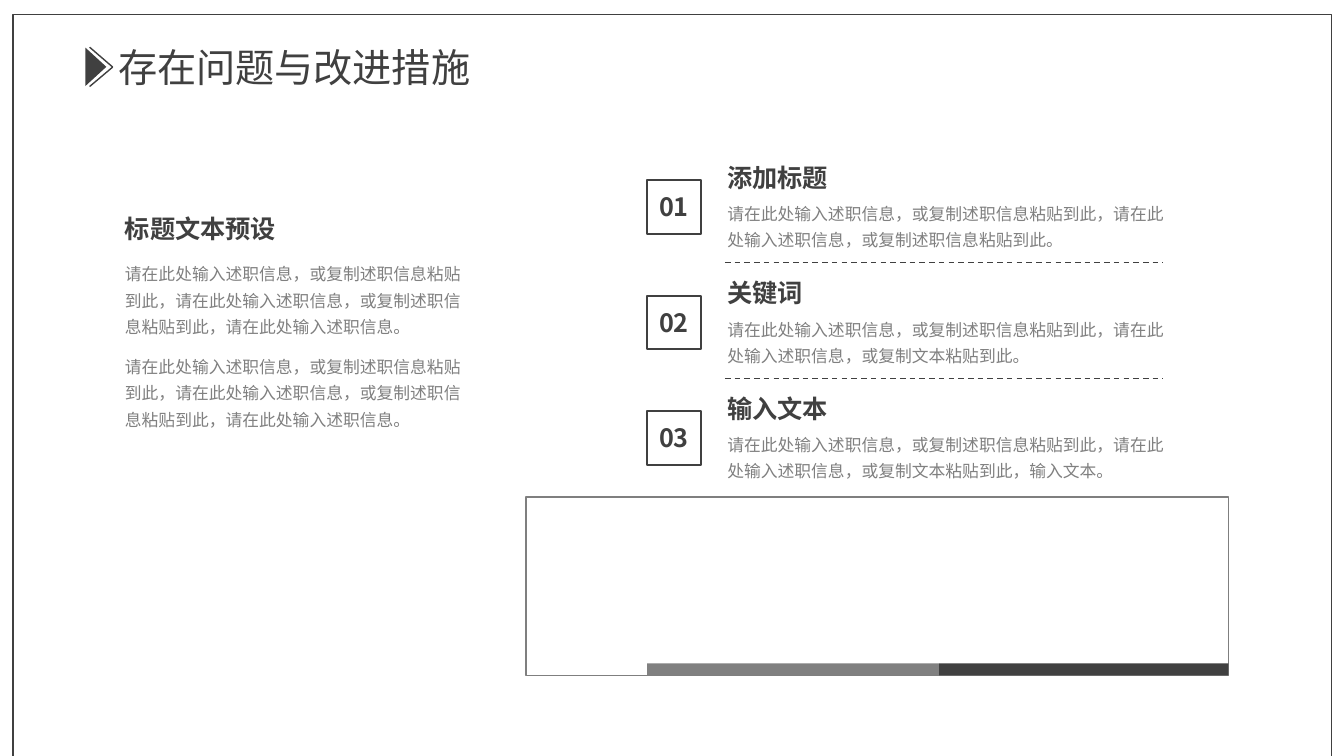
from lxml import etree
from pptx import Presentation
from pptx import util as u
from pptx.dml.color import RGBColor
from pptx.enum import dml, shapes, text
from pptx.oxml.ns import qn

FONT = "Noto Sans CJK SC"
COLORS = {"dark": "404040", "grey": "808080", "border": "7F7F7F"}

TITLE = "存在问题与改进措施"
INTRO_HEADING = "标题文本预设"
INTRO = ("请在此处输入述职信息，或复制述职信息粘贴到此，请在此处输入述职信息，"
         "或复制述职信息粘贴到此，请在此处输入述职信息。")
INTRO_TOPS = [6.38, 8.72]
MEASURES = [
    ("01", "添加标题", 3.05,
     "请在此处输入述职信息，或复制述职信息粘贴到此，请在此处输入述职信息，或复制述职信息粘贴到此。"),
    ("02", "关键词", 2.41,
     "请在此处输入述职信息，或复制述职信息粘贴到此，请在此处输入述职信息，或复制文本粘贴到此。"),
    ("03", "输入文本", 3.05,
     "请在此处输入述职信息，或复制述职信息粘贴到此，请在此处输入述职信息，或复制文本粘贴到此，输入文本。"),
]
ROW_TOP, ROW_PITCH = 3.96, 2.91
BADGE_LEFT, BADGE_SIZE = 16.31, 1.35
TEXT_LEFT = 18.08
DIVIDER = (18.27, 29.3)
PANEL = (13.26, 12.52, 17.7, 4.5)
BARS = [("grey", 7.36), ("dark", 7.29)]
BAR_HEIGHT = 0.3

deck = Presentation()
deck.slide_width, deck.slide_height = u.Cm(33.87), u.Cm(19.05)
slide = deck.slides.add_slide(deck.slide_layouts[5])


def rgb(name):
    return RGBColor.from_string(COLORS[name])


def cm(values):
    return [u.Cm(value) for value in values]


def write(frame, words, size, color="dark", bold=False, spacing=1.0,
          align=text.PP_ALIGN.LEFT):
    paragraph = frame.paragraphs[0]
    paragraph.text = words
    paragraph.alignment = align
    paragraph.line_spacing = spacing
    font = paragraph.font
    font.name, font.size, font.bold = FONT, u.Pt(size), bold
    font.color.rgb = rgb(color)
    defaults = paragraph._p.pPr.find(qn("a:defRPr"))
    etree.SubElement(defaults, qn("a:ea"), typeface=FONT)


def add_text(box, words, size, wrap=True, **style):
    frame = slide.shapes.add_textbox(*cm(box)).text_frame
    frame.word_wrap = wrap
    write(frame, words, size, **style)


def add_heading(left, top, width, words):
    add_text((left, top, width, 1.02), words, 18, wrap=False, bold=True)


def add_body(left, top, width, height, words):
    add_text((left, top, width, height), words, 12, color="grey", spacing=1.3)


def add_block(box, fill=None, line=None, weight=1,
              kind=shapes.MSO_SHAPE.RECTANGLE):
    block = slide.shapes.add_shape(kind, *cm(box))
    block.shadow.inherit = False
    if fill:
        block.fill.solid()
        block.fill.fore_color.rgb = rgb(fill)
    else:
        block.fill.background()
    if line:
        block.line.color.rgb = rgb(line)
        block.line.width = u.Pt(weight)
    else:
        block.line.fill.background()
    return block


def add_line(start, end, dash=None):
    line = slide.shapes.add_connector(
        shapes.MSO_CONNECTOR.STRAIGHT, *cm(start + end))
    line.line.color.rgb = rgb("dark")
    line.line.width = u.Pt(1)
    if dash:
        line.line.dash_style = dash
    etree.SubElement(line._element.spPr, qn("a:effectLst"))


title = slide.shapes.title
title.left, title.top, title.width, title.height = cm((2.72, 0.97, 10.9, 1.45))
title.text_frame.vertical_anchor = text.MSO_ANCHOR.MIDDLE
title.text_frame.auto_size = text.MSO_AUTO_SIZE.NONE
write(title.text_frame, TITLE, 28)

for edge_y in (1.19, 2.18):
    add_line((2.84, 1.69), (2.26, edge_y))
marker = add_block((1.93, 1.42, 0.97, 0.53), fill="dark",
                   kind=shapes.MSO_SHAPE.ISOSCELES_TRIANGLE)
marker.rotation = 90

add_block((0.33, 0.36, 33.22, 18.7), line="dark")

add_block(PANEL, line="border")
bar_left = BADGE_LEFT
for bar_color, bar_width in BARS:
    add_block((bar_left, PANEL[1] + PANEL[3] - BAR_HEIGHT, bar_width, BAR_HEIGHT),
              fill=bar_color)
    bar_left += bar_width

for row, (number, heading, heading_width, body) in enumerate(MEASURES):
    top = ROW_TOP + row * ROW_PITCH
    badge = add_block((BADGE_LEFT, top + 0.58, BADGE_SIZE, BADGE_SIZE),
                      line="dark", weight=1.5)
    badge.text_frame.word_wrap = False
    badge.text_frame.vertical_anchor = text.MSO_ANCHOR.MIDDLE
    write(badge.text_frame, number, 18, bold=True, align=text.PP_ALIGN.CENTER)
    add_heading(TEXT_LEFT, top, heading_width, heading)
    add_body(TEXT_LEFT, top + 0.9, 11.66, 1.5, body)
    if row < len(MEASURES) - 1:
        divider_y = top + 2.66
        add_line((DIVIDER[0], divider_y), (DIVIDER[1], divider_y),
                 dml.MSO_LINE.DASH)

add_heading(2.9, 5.26, 4.34, INTRO_HEADING)
for intro_top in INTRO_TOPS:
    add_body(2.9, intro_top, 9.32, 2.24, INTRO)

deck.save("out.pptx")
